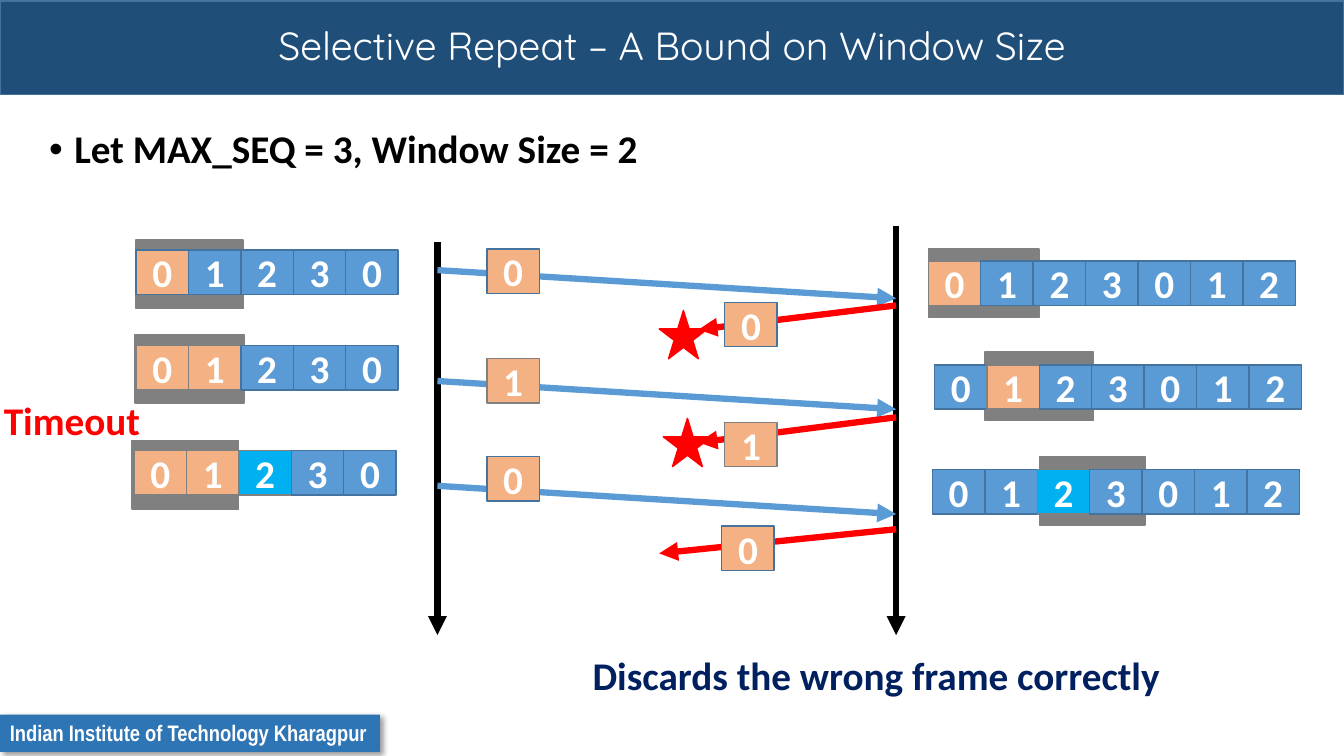
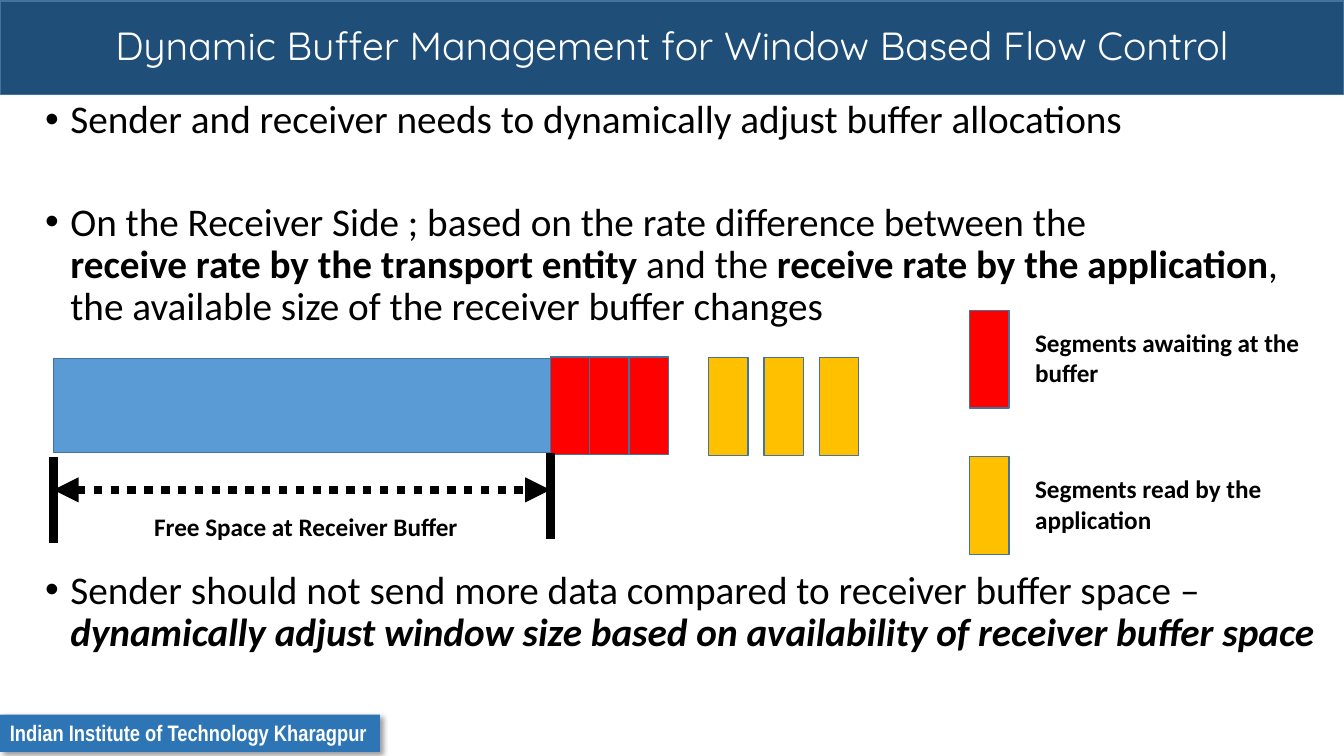
"""Build two slides on selective repeat and dynamic buffer management."""
from lxml import etree
from pptx import Presentation
from pptx.dml.color import RGBColor
from pptx.enum.dml import MSO_LINE
from pptx.enum.shapes import MSO_CONNECTOR, MSO_SHAPE
from pptx.enum.text import MSO_ANCHOR, PP_ALIGN
from pptx.oxml.ns import qn
from pptx.util import Inches, Pt

RECTANGLE = MSO_SHAPE.RECTANGLE
STAR = MSO_SHAPE.STAR_5_POINT
STRAIGHT = MSO_CONNECTOR.STRAIGHT
DOTTED = MSO_LINE.ROUND_DOT
LEFT, CENTER = PP_ALIGN.LEFT, PP_ALIGN.CENTER
TOP, MIDDLE = MSO_ANCHOR.TOP, MSO_ANCHOR.MIDDLE

COLUMNS, ROWS = 133.33, 75
GRID_INCHES = 0.1
BAND_TOP, BAND_ROWS = 0.1, 9.3

BODY_FONT, TITLE_FONT, FOOTER_FONT = "Calibri", "Quicksand", "Arial Narrow"
BLACK, WHITE, RED = "000000", "FFFFFF", "FF0000"
NAVY, FOOTER_BLUE, DARK_BLUE = "1F4E79", "2E75B6", "002060"
BLUE, OUTLINE, GRAY = "5B9BD5", "43739E", "808080"
ORANGE, CYAN, AMBER = "F4B183", "00B0F0", "FFC000"

CELL_WIDTH, CELL_HEIGHT = 5.2, 4.4
WINDOW_HEIGHT = 6.8
SEGMENT_WIDTH, SEGMENT_HEIGHT = 3.9, 9.7
CELL_STYLES = {
    ".": (BLUE, OUTLINE),
    "f": (ORANGE, OUTLINE),
    "s": (ORANGE, GRAY),
    "n": (CYAN, GRAY),
}


def grid(units):
    """Convert grid units to a length."""
    return Inches(units * GRID_INCHES)


def color(value):
    """Turn a hex string into a colour."""
    return RGBColor.from_string(value)


def add_xml(parent, tag, **attributes):
    """Append a drawing element and return it."""
    return etree.SubElement(parent, qn(tag), attributes)


def style_run(run, size, ink, bold=False, italic=False, font=BODY_FONT):
    """Set the look of one run."""
    run.font.name = font
    run.font.size = Pt(size)
    run.font.bold = bold
    run.font.italic = italic
    run.font.color.rgb = color(ink)


def write(shape, text, size=28, ink=WHITE, bold=True, font=BODY_FONT,
          align=CENTER, anchor=MIDDLE, wrap=True):
    """Put one styled paragraph into a shape."""
    frame = shape.text_frame
    frame.text = text
    frame.word_wrap = wrap
    frame.vertical_anchor = anchor
    paragraph = frame.paragraphs[0]
    paragraph.alignment = align
    for run in paragraph.runs:
        style_run(run, size, ink, bold, font=font)


def add_block(slide, left, top, width, height, fill, outline=OUTLINE, kind=RECTANGLE):
    """Draw a filled preset shape; no outline when it is None."""
    shape = slide.shapes.add_shape(kind, grid(left), grid(top), grid(width), grid(height))
    shape.shadow.inherit = False
    shape.fill.solid()
    shape.fill.fore_color.rgb = color(fill)
    if outline:
        shape.line.color.rgb = color(outline)
        shape.line.width = Pt(1)
    else:
        shape.line.fill.background()
    return shape


def add_label(slide, left, top, width, height, text, **style):
    """Place a text box with one styled paragraph."""
    box = slide.shapes.add_textbox(grid(left), grid(top), grid(width), grid(height))
    write(box, text, **{"align": LEFT, "anchor": TOP, **style})


def add_line(slide, start, end, ink, weight=4.5, head=False, tail=True, dash=None):
    """Draw a straight line with optional arrowheads."""
    line = slide.shapes.add_connector(STRAIGHT, *map(grid, start + end))
    line.line.color.rgb = color(ink)
    line.line.width = Pt(weight)
    if dash:
        line.line.dash_style = dash
    outline = line.line._get_or_add_ln()
    for shown, tag in ((head, "a:headEnd"), (tail, "a:tailEnd")):
        if shown:
            add_xml(outline, tag, type="triangle")
    add_xml(line._element.spPr, "a:effectLst")


def add_bullets(slide, left, top, width, height, items):
    """Write bullets, each a space before and its (text, bold, italic) parts."""
    box = slide.shapes.add_textbox(grid(left), grid(top), grid(width), grid(height))
    frame = box.text_frame
    frame.word_wrap = True
    for index, (space, parts) in enumerate(items):
        paragraph = frame.add_paragraph() if index else frame.paragraphs[0]
        properties = paragraph._p.get_or_add_pPr()
        properties.set("marL", str(grid(2.5)))
        properties.set("indent", str(-grid(2.5)))
        add_xml(properties, "a:buFont", typeface="Arial")
        add_xml(properties, "a:buChar", char="•")
        paragraph.line_spacing = 0.9
        paragraph.space_before = Pt(space)
        for text, bold, italic in parts:
            if text == "\n":
                paragraph.add_line_break()
                continue
            run = paragraph.add_run()
            run.text = text
            style_run(run, 28, BLACK, bold, italic)


def add_footer(slide):
    """Draw the shadowed institute tag at the bottom left."""
    footer = add_block(slide, 0, 70.9, 37.7, 3.7, FOOTER_BLUE, None)
    write(footer, "Indian Institute of Technology Kharagpur", size=16,
          font=FOOTER_FONT, align=LEFT, anchor=TOP, wrap=False)
    effects = footer._element.spPr.find(qn("a:effectLst"))
    shadow = add_xml(effects, "a:outerShdw", blurRad=str(Pt(4)), dist=str(Pt(3)),
                     dir="2700000", algn="tl", rotWithShape="0")
    shade = add_xml(shadow, "a:srgbClr", val=BLACK)
    add_xml(shade, "a:alpha", val="40000")


def add_slide(presentation, title):
    """Add a blank slide with the title band and the footer."""
    slide = presentation.slides.add_slide(presentation.slide_layouts[6])
    band = add_block(slide, 0, BAND_TOP, COLUMNS, BAND_ROWS, NAVY)
    write(band, title, bold=False, font=TITLE_FONT)
    band.text_frame.paragraphs[0].line_spacing = 0.9
    add_footer(slide)
    return slide


def add_cell(slide, left, top, number, mark):
    """Draw one numbered frame."""
    cell = add_block(slide, left, top, CELL_WIDTH, CELL_HEIGHT, *CELL_STYLES[mark])
    write(cell, number)


def add_sequence(slide, left, top, numbers, marks, window):
    """Draw a row of frames on top of its window (left, top, width)."""
    add_block(slide, *window, WINDOW_HEIGHT, GRAY, GRAY)
    for index, (number, mark) in enumerate(zip(numbers, marks)):
        add_cell(slide, left + index * CELL_WIDTH, top, number, mark)


def add_segments(slide, left, top, step, count, fill):
    """Draw evenly spaced buffer segments."""
    for index in range(count):
        add_block(slide, left + index * step, top, SEGMENT_WIDTH, SEGMENT_HEIGHT, fill)


def build_window_slide(presentation):
    """Show the exchange of frames with a window of two."""
    slide = add_slide(presentation, "Selective Repeat – A Bound on Window Size")
    add_bullets(slide, 3.9, 12.4, 126.3, 6.9,
                [(0, [("Let MAX_SEQ = 3, Window Size = 2", True, False)])])
    sender, receiver = 43.4, 88.9
    for time_axis, top in ((sender, 24), (receiver, 22.4)):
        add_line(slide, (time_axis, top), (time_axis, 63), BLACK)

    for left, top, marks, window in (
        (13.5, 24.8, "f....", (13.5, 23.8, 10.6)),
        (13.5, 34.3, "ss...", (13.4, 33.2, 10.8)),
        (13.3, 44.7, "ssn..", (13.1, 43.7, 10.6)),
    ):
        add_sequence(slide, left, top, "01230", marks, window)
    for left, top, marks, window in (
        (92.1, 25.9, "s......", (92.1, 24.7, 11)),
        (92.7, 36.2, ".s.....", (97.7, 34.9, 10.8)),
        (92.5, 46.6, "..n....", (103.1, 45.3, 10.5)),
    ):
        add_sequence(slide, left, top, "0123012", marks, window)

    for start, cell_top, number, mark in (
        (26.8, 24.7, "0", "f"), (37.8, 35.6, "1", "s"), (48.2, 45.3, "0", "f"),
    ):
        add_line(slide, (sender, start), (receiver, start + 2.8), BLUE)
        add_cell(slide, 48.3, cell_top, number, mark)

    for left, top in ((65.4, 30.8), (65.8, 41.5)):
        add_block(slide, left, top, 4.8, 4.8, RED, RED, STAR)
    for start, end, cell, number, mark in (
        (30.3, (69.3, 32.7), (71.9, 30), "0", "f"),
        (41.4, (69.3, 43.9), (71.9, 41.9), "1", "s"),
        (52.5, (65.4, 54.9), (71.6, 52.2), "0", "f"),
    ):
        add_line(slide, (receiver, start), end, RED)
        add_cell(slide, *cell, number, mark)

    add_label(slide, -0.6, 38.8, 15.7, 5.7, "Timeout", ink=RED, wrap=False)
    add_label(slide, 57.8, 64.1, 72.4, 5.7, "Discards the wrong frame correctly", ink=DARK_BLUE)


def build_buffer_slide(presentation):
    """Show the free space of the receiver buffer."""
    slide = add_slide(presentation, "Dynamic Buffer Management for Window Based Flow Control")
    add_bullets(slide, 3.5, 9.4, 129.8, 61.5, [
        (0, [("Sender and receiver needs to dynamically adjust buffer allocations", False, False)]),
        (43, [
            ("On the Receiver Side ; based on the rate difference between the ", False, False),
            ("\n", False, False),
            ("receive rate by the transport entity ", True, False),
            ("and the ", False, False),
            ("receive rate by the application", True, False),
            (", the available size of the receiver buffer changes", False, False),
        ]),
        (172, [
            ("Sender should not send more data compared to receiver buffer space – ", False, False),
            ("dynamically adjust window size based on availability of receiver buffer space",
             True, True),
        ]),
    ])

    buffer_left, free_end = 5.3, 54.6
    add_block(slide, buffer_left, 35.6, 61, 9.3, BLUE)
    add_segments(slide, free_end, 35.4, SEGMENT_WIDTH, 3, RED)
    add_segments(slide, 70.3, 35.5, 5.5, 3, AMBER)
    for edge, top in ((buffer_left, 45.3), (free_end, 44.9)):
        add_line(slide, (edge, top), (edge, top + 8.6), BLACK, 6, tail=False)
    add_line(slide, (buffer_left, 48.6), (free_end, 48.6), BLACK, 6, head=True, dash=DOTTED)
    add_label(slide, 14.3, 50.2, 32.5, 4, "Free Space at Receiver Buffer",
              size=18, ink=BLACK, wrap=False)

    for top, fill, meaning in (
        (30.8, RED, "Segments awaiting at the buffer"),
        (45.3, AMBER, "Segments read by the application"),
    ):
        add_segments(slide, 96.2, top, 0, 1, fill)
        add_label(slide, 101.7, top + 1.2, 28.2, 7.1, meaning, size=18, ink=BLACK)


def main():
    """Build and save the presentation."""
    presentation = Presentation()
    presentation.slide_width = grid(COLUMNS)
    presentation.slide_height = grid(ROWS)
    build_window_slide(presentation)
    build_buffer_slide(presentation)
    presentation.save("out.pptx")


if __name__ == "__main__":
    main()
